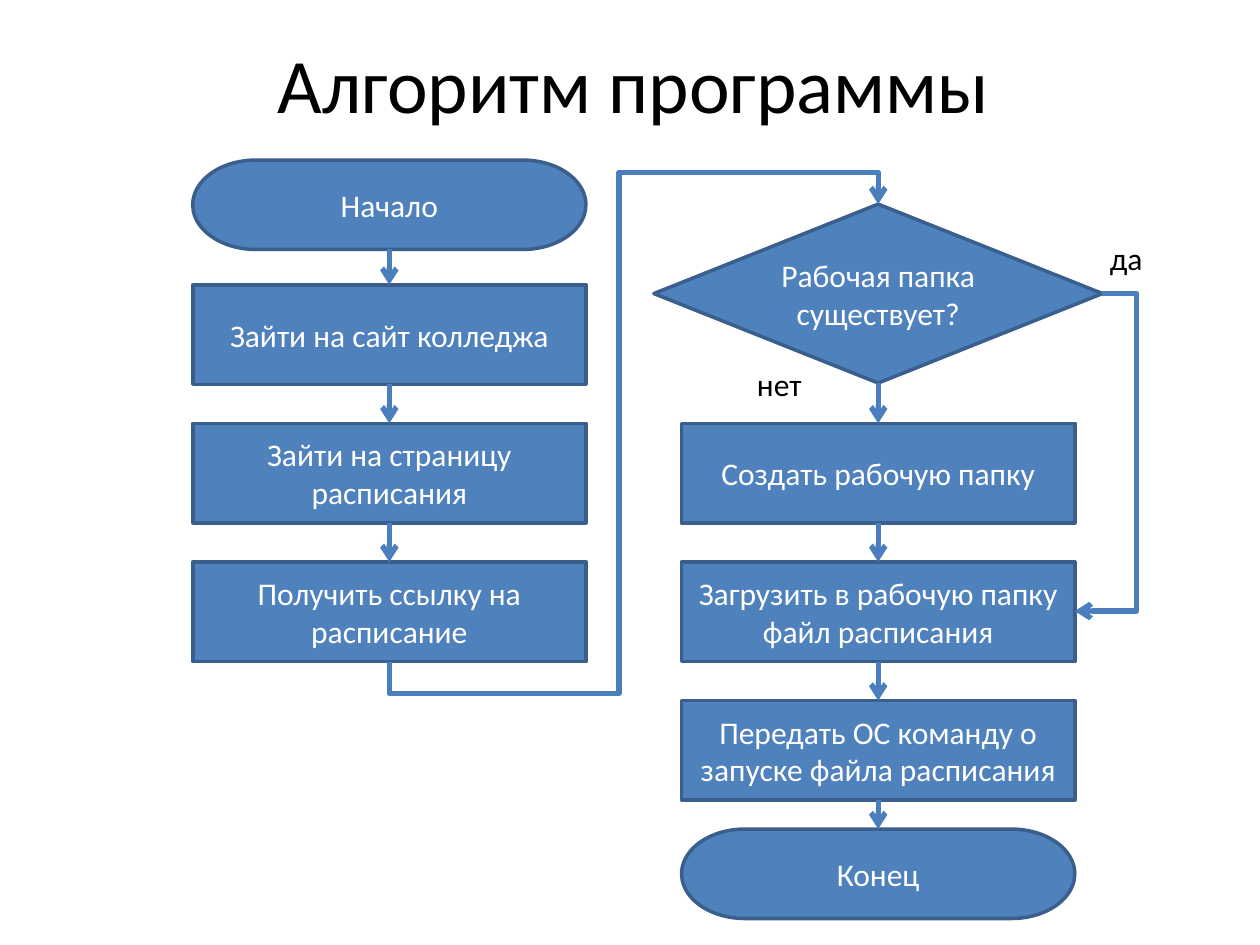
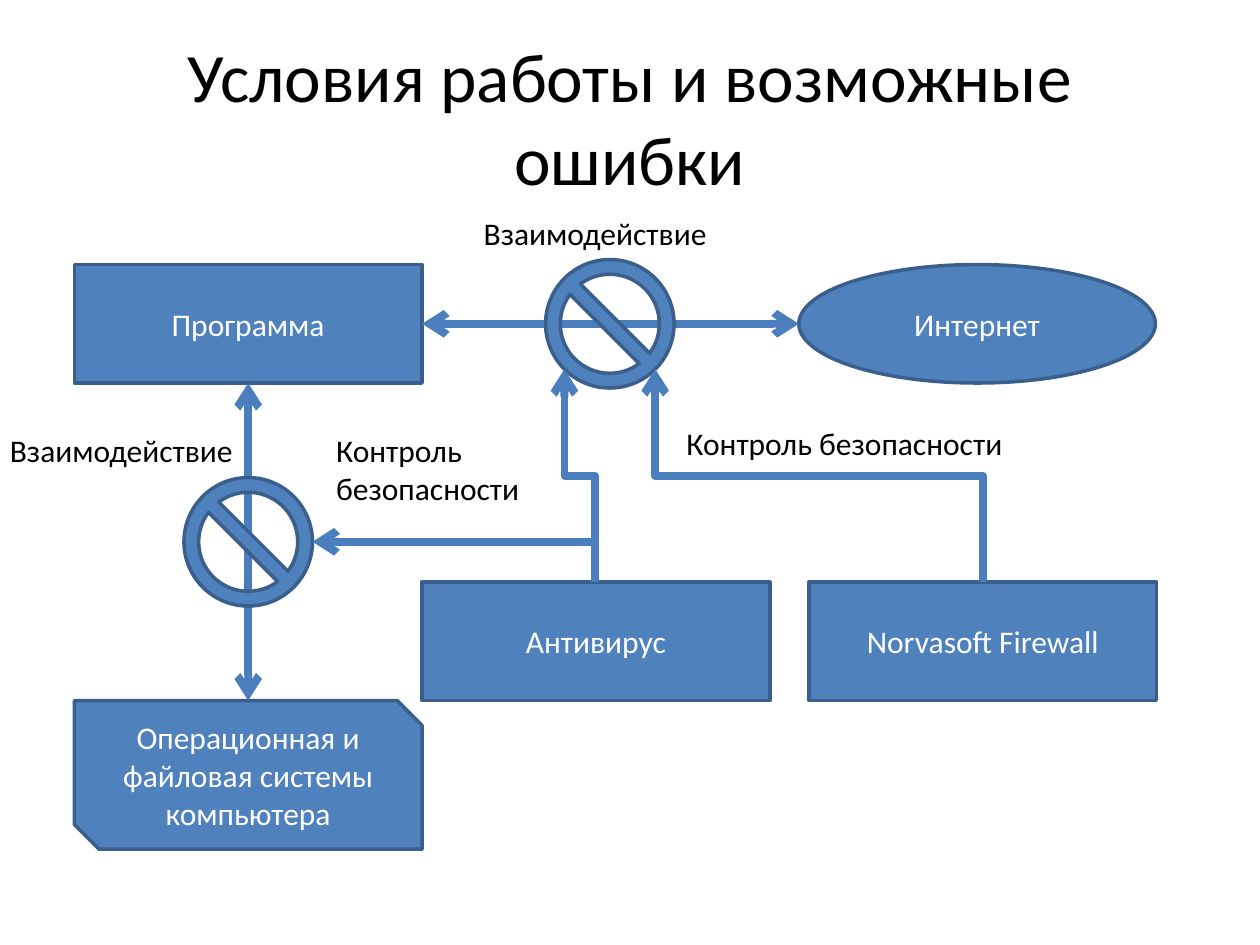
from dataclasses import dataclass
from itertools import pairwise

from lxml.etree import SubElement
from pptx import Presentation
from pptx.dml.color import RGBColor
from pptx.enum.shapes import MSO_CONNECTOR as Conn, MSO_SHAPE as Kind
from pptx.enum.text import MSO_ANCHOR as Anchor, MSO_AUTO_SIZE as AutoSize, PP_ALIGN as Align
from pptx.oxml.ns import qn
from pptx.shapes.autoshape import Shape
from pptx.shapes.connector import Connector
from pptx.slide import Slide
from pptx.text.text import TextFrame
from pptx.util import Emu, Pt

PX = 9144  # 100 px to the inch
TOP, LEFT, BOTTOM, RIGHT = range(4)


@dataclass(frozen=True)
class Theme:
    font: str = "Calibri"
    fill: RGBColor = RGBColor(0x4F, 0x81, 0xBD)
    outline: RGBColor = RGBColor(0x3A, 0x5F, 0x8C)
    arrow: RGBColor = RGBColor(0x4B, 0x7E, 0xBC)
    dark: RGBColor = RGBColor(0, 0, 0)
    light: RGBColor = RGBColor(0xFF, 0xFF, 0xFF)
    body_pt: float = 18
    outline_pt: float = 2


THEME = Theme()


@dataclass(frozen=True)
class Node:
    kind: Kind
    x: int
    y: int
    w: int
    h: int
    text: str = ""


@dataclass(frozen=True)
class Label:
    text: str
    x: int
    y: int
    w: int
    h: int = 40
    wrap: bool = False


@dataclass(frozen=True)
class Elbow:
    x1: int
    y1: int
    x2: int
    y2: int
    preset: str = "bentConnector3"
    bends: tuple[float, ...] = ()  # shares of the run, in preset order
    upward: bool = True  # first leg is vertical


def px(*lengths: float) -> list[Emu]:
    return [Emu(round(n * PX)) for n in lengths]


def write(tf: TextFrame, text: str, size: float, color: RGBColor, align: Align) -> None:
    p = tf.paragraphs[0]
    p.alignment = align
    r = p.add_run()
    r.text = text
    r.font.name = THEME.font
    r.font.size = Pt(size)
    r.font.color.rgb = color


def add_titled_slide(prs: Presentation, title: str, x: int, y: int, size: float) -> Slide:
    s = prs.slides.add_slide(prs.slide_layouts[5])
    sp = s.shapes.title
    sp.left, sp.top, sp.width, sp.height = px(x, y, 900, 125)
    tf = sp.text_frame
    tf.auto_size = AutoSize.NONE
    tf.vertical_anchor = Anchor.MIDDLE
    write(tf, title, size, THEME.dark, Align.CENTER)
    return s


def add_node(s: Slide, node: Node) -> Shape:
    sp = s.shapes.add_shape(node.kind, *px(node.x, node.y, node.w, node.h))
    sp.shadow.inherit = False
    sp.fill.solid()
    sp.fill.fore_color.rgb = THEME.fill
    sp.line.color.rgb = THEME.outline
    sp.line.width = Pt(THEME.outline_pt)
    if node.text:
        tf = sp.text_frame
        tf.word_wrap = True
        tf.vertical_anchor = Anchor.MIDDLE
        write(tf, node.text, THEME.body_pt, THEME.light, Align.CENTER)
    return sp


def add_label(s: Slide, label: Label) -> None:
    tf = s.shapes.add_textbox(*px(label.x, label.y, label.w, label.h)).text_frame
    tf.word_wrap = label.wrap
    tf.auto_size = AutoSize.SHAPE_TO_FIT_TEXT
    write(tf, label.text, THEME.body_pt, THEME.dark, Align.LEFT)


def style_arrow(c: Connector, width: float, both: bool = False) -> None:
    c.line.color.rgb = THEME.arrow
    c.line.width = Pt(width)
    props = c._element.spPr
    ln = props.find(qn("a:ln"))
    for end in ("a:headEnd", "a:tailEnd") if both else ("a:tailEnd",):
        SubElement(ln, qn(end), type="arrow")
    SubElement(props, qn("a:effectLst"))


def join(s: Slide, a: Shape, a_side: int, b: Shape, b_side: int,
         width: float, both: bool = False) -> None:
    c = s.shapes.add_connector(Conn.STRAIGHT, 0, 0, 0, 0)
    c.begin_connect(a, a_side)
    c.end_connect(b, b_side)
    style_arrow(c, width, both)


def add_elbow(s: Slide, e: Elbow, width: float) -> None:
    ends = (e.x1, e.y1, e.x2, e.y2)
    if e.upward:
        # Lay the route on its side about its centre; a 270° turn stands it up
        cx, cy = (e.x1 + e.x2) / 2, (e.y1 + e.y2) / 2
        run, rise = (e.y1 - e.y2) / 2, (e.x2 - e.x1) / 2
        ends = (cx - run, cy - rise, cx + run, cy + rise)
    c = s.shapes.add_connector(Conn.ELBOW, *px(*ends))
    props = c._element.spPr
    if e.upward:
        props.find(qn("a:xfrm")).set("rot", str(270 * 60000))
    geom = props.find(qn("a:prstGeom"))
    geom.set("prst", e.preset)
    guides = geom.find(qn("a:avLst"))
    if guides is None:
        guides = SubElement(geom, qn("a:avLst"))
    for i, bend in enumerate(e.bends, 1):
        SubElement(guides, qn("a:gd"), name=f"adj{i}", fmla=f"val {round(bend * 100000)}")
    style_arrow(c, width)


def build_algorithm(prs: Presentation) -> None:
    s = add_titled_slide(prs, "Алгоритм программы", 53, 3, 44)
    left_x, right_x, box_w, box_h, cap_h = 153, 541, 312, 79, 71
    arrow_pt = 3

    def step(x: int, row: int, text: str) -> Node:
        return Node(Kind.FLOWCHART_PROCESS, x, 226 + 110 * row, box_w, box_h, text)

    def cap(x: int, y: int, text: str) -> Node:
        return Node(Kind.FLOWCHART_TERMINATOR, x, y, box_w, cap_h, text)

    # Two columns of steps, each chained from top to bottom
    columns = (
        (cap(left_x, 127, "Начало"),
         step(left_x, 0, "Зайти на сайт колледжа"),
         step(left_x, 1, "Зайти на страницу расписания"),
         step(left_x, 2, "Получить ссылку на расписание")),
        (Node(Kind.FLOWCHART_DECISION, 519, 162, 356, 142, "Рабочая папка существует?"),
         step(right_x, 1, "Создать рабочую папку"),
         step(right_x, 2, "Загрузить в рабочую папку файл расписания"),
         step(right_x, 3, "Передать ОС команду о запуске файла расписания"),
         cap(right_x, 658, "Конец")),
    )
    for column in columns:
        for a, b in pairwise([add_node(s, node) for node in column]):
            join(s, a, BOTTOM, b, TOP, arrow_pt)

    # Passage to the second column and the "yes" branch
    add_elbow(s, Elbow(309, 525, 697, 162, "bentConnector5", (-0.07, 0.47, 1.07)), arrow_pt)
    add_elbow(s, Elbow(875, 233, 853, 485, bends=(-1.23,), upward=False), arrow_pt)

    for label in (Label("да", 871, 185, 46), Label("нет", 591, 285, 56)):
        add_label(s, label)


def build_conditions(prs: Presentation) -> None:
    s = add_titled_slide(prs, "Условия работы и возможные ошибки", 50, 30, 39.6)
    box_w, box_h, sign = 276, 94, 102
    arrow_pt = 4.5

    # Participants
    program, internet, system, _, _ = [add_node(s, node) for node in (
        Node(Kind.FLOWCHART_PROCESS, 59, 210, box_w, box_h, "Программа"),
        Node(Kind.OVAL, 634, 210, 283, box_h, "Интернет"),
        Node(Kind.SNIP_2_DIAG_RECTANGLE, 59, 556, box_w, 118,
             "Операционная и файловая системы компьютера"),
        Node(Kind.FLOWCHART_PROCESS, 335, 462, box_w, box_h, "Антивирус"),
        Node(Kind.FLOWCHART_PROCESS, 642, 462, box_w, box_h, "Norvasoft Firewall"),
    )]
    join(s, program, BOTTOM, system, TOP, arrow_pt, both=True)
    join(s, program, RIGHT, internet, LEFT, arrow_pt, both=True)

    # Blocking signs over the two-way arrows
    for x, y in ((433, 206), (146, 379)):
        add_node(s, Node(Kind.NO_SYMBOL, x, y, sign, sign)).adjustments[0] = 0.115

    # Security control arrows
    for elbow in (Elbow(472, 462, 248, 430, "bentConnector2"),
                  Elbow(780, 462, 520, 293),
                  Elbow(472, 462, 448, 293)):
        add_elbow(s, elbow, arrow_pt)

    for label in (Label("Взаимодействие", 374, 165, 199),
                  Label("Взаимодействие", -2, 337, 199),
                  Label("Контроль безопасности", 257, 337, 176, 71, wrap=True),
                  Label("Контроль безопасности", 535, 332, 274)):
        add_label(s, label)


def main() -> None:
    prs = Presentation()
    prs.slide_width, prs.slide_height = px(1000, 750)
    build_algorithm(prs)
    build_conditions(prs)
    prs.save("out.pptx")


if __name__ == "__main__":
    main()
